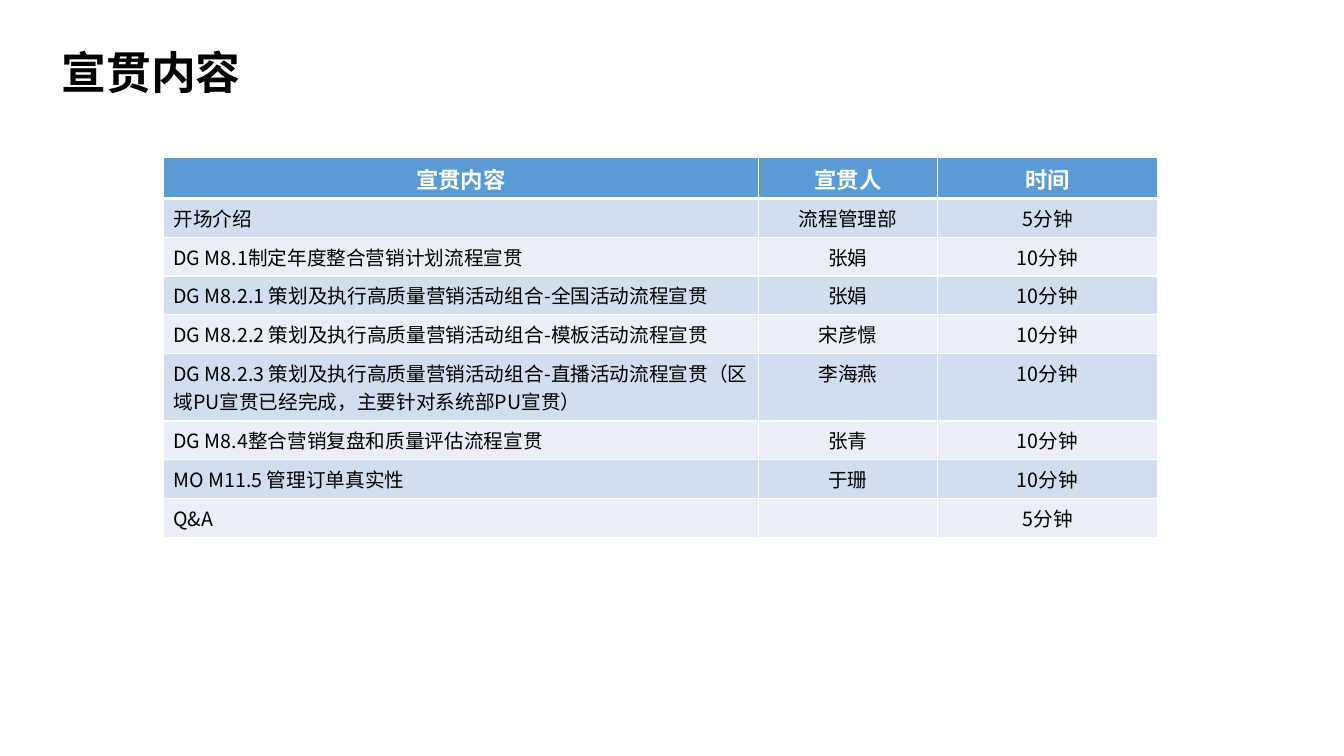
from lxml import etree
from pptx import Presentation
from pptx.dml.color import RGBColor
from pptx.enum import text
from pptx.oxml import ns
from pptx.util import Inches, Pt

COLOURS = {
    "header": "5B9BD5",
    "odd": "D2DEEF",
    "even": "EAEFF7",
    "white": "FFFFFF",
    "black": "000000",
}
FONT = "Noto Sans CJK SC"
COLUMN_WIDTHS = [5.9, 1.78, 2.18]
HEADER_ROW, TWO_LINE_ROW = 0, 5
SPECIAL_HEIGHTS = {HEADER_ROW: 0.41, TWO_LINE_ROW: 0.67}
AGENDA = [
    ("宣贯内容", "宣贯人", "时间"),
    ("开场介绍", "流程管理部", "5分钟"),
    ("DG M8.1制定年度整合营销计划流程宣贯", "张娟", "10分钟"),
    ("DG M8.2.1 策划及执行高质量营销活动组合-全国活动流程宣贯", "张娟", "10分钟"),
    ("DG M8.2.2 策划及执行高质量营销活动组合-模板活动流程宣贯", "宋彦憬", "10分钟"),
    ("DG M8.2.3 策划及执行高质量营销活动组合-直播活动流程宣贯"
     "（区域PU宣贯已经完成，主要针对系统部PU宣贯）", "李海燕", "10分钟"),
    ("DG M8.4整合营销复盘和质量评估流程宣贯", "张青", "10分钟"),
    ("MO M11.5 管理订单真实性", "于珊", "10分钟"),
    ("Q&A", "", "5分钟"),
]


def colour(name):
    """Return the named palette colour."""
    return RGBColor.from_string(COLOURS[name])


def format_para(para, size, tone, bold, align):
    """Align a paragraph and set the font of its runs."""
    para.alignment = align
    para.font.size = Pt(size)
    for span in para.runs:
        span.font.size = Pt(size)
        span.font.bold = bold
        span.font.name = FONT
        span.font.color.rgb = colour(tone)
        east_asian = etree.SubElement(span.font._element, ns.qn("a:ea"))
        east_asian.set("typeface", FONT)


def add_borders(cell, bottom_width):
    """Draw white borders round a table cell."""
    properties = cell._tc.get_or_add_tcPr()
    widths = {"lnL": 1, "lnR": 1, "lnT": 1, "lnB": bottom_width}
    for position, (side, width) in enumerate(widths.items()):
        line = etree.Element(ns.qn(f"a:{side}"), w=str(Pt(width)))
        fill = etree.SubElement(line, ns.qn("a:solidFill"))
        etree.SubElement(fill, ns.qn("a:srgbClr"), val=COLOURS["white"])
        properties.insert(position, line)


def add_title(page, left, top, width, height):
    """Place the page heading in the title placeholder."""
    title = page.shapes.title
    title.left, title.top = Inches(left), Inches(top)
    title.width, title.height = Inches(width), Inches(height)
    frame = title.text_frame
    frame.text = "宣贯内容"
    frame.word_wrap = False
    frame.auto_size = text.MSO_AUTO_SIZE.SHAPE_TO_FIT_TEXT
    frame.vertical_anchor = text.MSO_ANCHOR.MIDDLE
    para = frame.paragraphs[0]
    para.line_spacing = 0.9
    format_para(para, 32, "black", True, text.PP_ALIGN.LEFT)


def add_agenda(page, left, top, width, height):
    """Place the agenda table with its banded rows."""
    table = page.shapes.add_table(
        len(AGENDA), len(COLUMN_WIDTHS),
        Inches(left), Inches(top), Inches(width), Inches(height),
    ).table
    for column, column_width in zip(table.columns, COLUMN_WIDTHS):
        column.width = Inches(column_width)
    plain_rows = len(AGENDA) - len(SPECIAL_HEIGHTS)
    plain_height = (height - sum(SPECIAL_HEIGHTS.values())) / plain_rows
    for row_number, entries in enumerate(AGENDA):
        is_header = row_number == HEADER_ROW
        band = "header" if is_header else ("even", "odd")[row_number % 2]
        table.rows[row_number].height = Inches(SPECIAL_HEIGHTS.get(row_number, plain_height))
        for column_number, entry in enumerate(entries):
            cell = table.cell(row_number, column_number)
            cell.text_frame.text = entry
            cell.fill.solid()
            cell.fill.fore_color.rgb = colour(band)
            add_borders(cell, 3 if is_header else 1)
            is_left = column_number == 0 and not is_header
            format_para(
                cell.text_frame.paragraphs[0],
                16 if is_header else 14,
                "white" if is_header else "black",
                is_header,
                text.PP_ALIGN.LEFT if is_left else text.PP_ALIGN.CENTER,
            )


def main():
    """Build and save the deck."""
    deck = Presentation()
    deck.slide_width, deck.slide_height = Inches(13.33), Inches(7.5)
    page = deck.slides.add_slide(deck.slide_layouts[5])
    add_agenda(page, 1.62, 1.56, 9.86, 3.77)
    add_title(page, 0.51, 0.42, 2, 0.64)
    deck.save("out.pptx")


if __name__ == "__main__":
    main()
